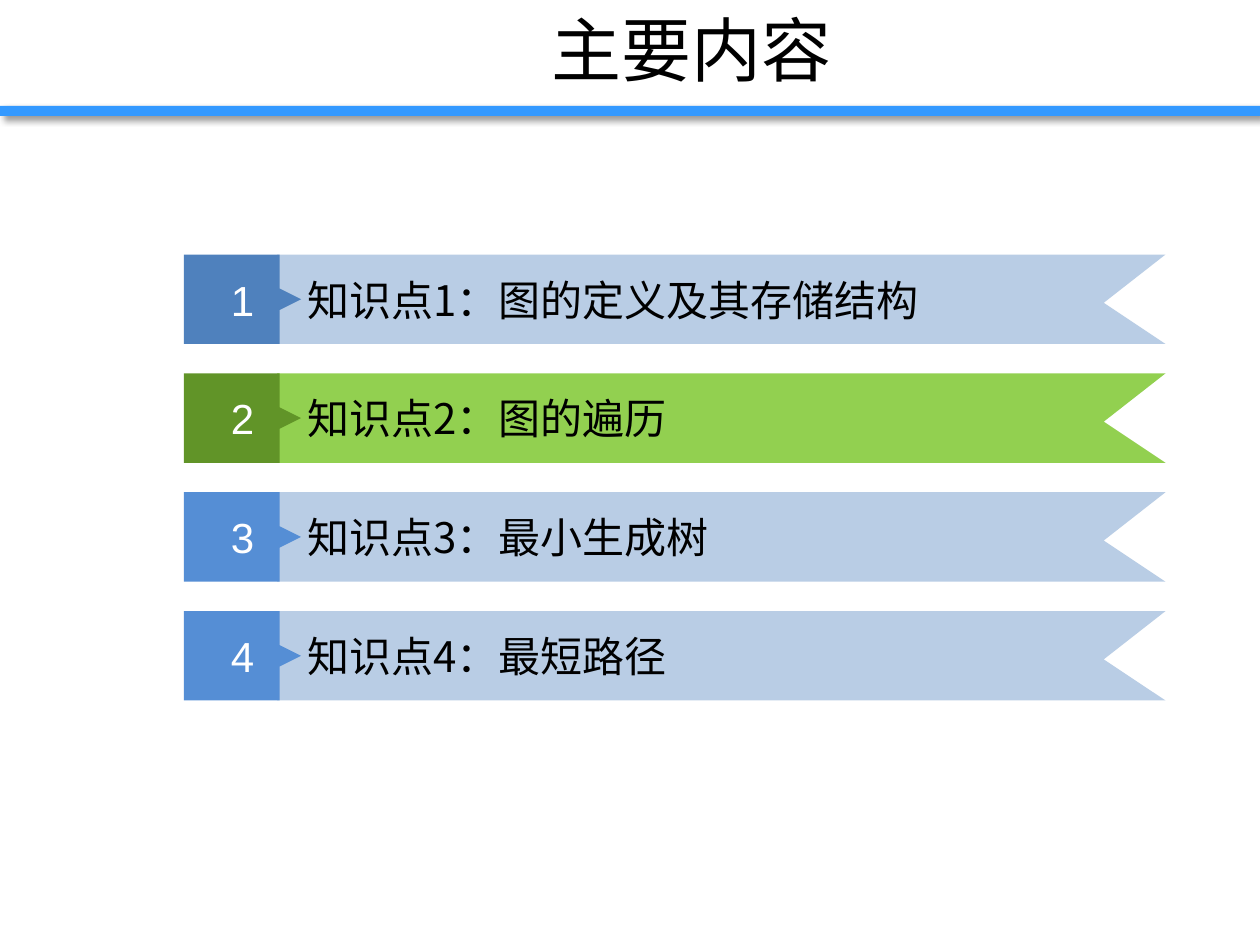
from dataclasses import dataclass

from lxml import etree
from pptx import Presentation
from pptx.dml.color import RGBColor
from pptx.enum.shapes import MSO_SHAPE
from pptx.enum.text import MSO_ANCHOR, PP_ALIGN
from pptx.oxml import parse_xml
from pptx.oxml.ns import nsdecls, qn
from pptx.util import Inches, Pt

RECTANGLE = MSO_SHAPE.RECTANGLE
MIDDLE = MSO_ANCHOR.MIDDLE
LEFT, CENTER = PP_ALIGN.LEFT, PP_ALIGN.CENTER


@dataclass(frozen=True)
class Theme:
    ink: str = "000000"
    white: str = "FFFFFF"
    rule: str = "3399FF"
    pale_blue: str = "B9CDE5"
    deep_blue: str = "4F81BD"
    mid_blue: str = "558ED5"
    green: str = "92D050"
    deep_green: str = "619428"
    chinese_font: str = "Noto Sans CJK SC"
    number_font: str = "Arial"
    title_size: int = 40
    body_size: int = 24


@dataclass(frozen=True)
class Topic:
    name: str
    ribbon_color: str
    tag_color: str


THEME = Theme()
SLIDE_WIDTH, SLIDE_HEIGHT = 10, 7.5
TITLE_LEFT, TITLE_HEIGHT = 0.98, 0.77
RULE_TOP, RULE_HEIGHT = 0.84, 0.08

TOPICS = [
    Topic("图的定义及其存储结构", THEME.pale_blue, THEME.deep_blue),
    Topic("图的遍历", THEME.green, THEME.deep_green),
    Topic("最小生成树", THEME.pale_blue, THEME.mid_blue),
    Topic("最短路径", THEME.pale_blue, THEME.mid_blue),
]
FIRST_TOP, LAST_TOP, ROW_HEIGHT = 2.02, 4.85, 0.71
ROW_PITCH = (LAST_TOP - FIRST_TOP) / (len(TOPICS) - 1)
TAG_LEFT, TAG_RIGHT, TAG_TIP = 1.46, 2.22, 2.39
RIBBON_LEFT, RIBBON_NOTCH, RIBBON_RIGHT = 2.2, 8.76, 9.25

# Outlines of one row: x in inches, y as a share of the row height
RIBBON = [(RIBBON_LEFT, 0), (RIBBON_RIGHT, 0), (RIBBON_NOTCH, 0.54),
          (RIBBON_RIGHT, 1), (RIBBON_LEFT, 1)]
TAG = [(TAG_LEFT, 0), (TAG_RIGHT, 0), (TAG_RIGHT, 0.38), (TAG_TIP, 0.5),
       (TAG_RIGHT, 0.62), (TAG_RIGHT, 1), (TAG_LEFT, 1)]


def paint(shape, color: str) -> None:
    shape.shadow.inherit = False
    shape.fill.solid()
    shape.fill.fore_color.rgb = RGBColor.from_string(color)
    shape.line.fill.background()


def write(shape, text: str, size: int, font: str, color: str, align) -> None:
    frame = shape.text_frame
    frame.text = text
    frame.word_wrap = True
    frame.vertical_anchor = MIDDLE
    para = frame.paragraphs[0]
    para.alignment = align
    span = para.runs[0]
    span.font.size = Pt(size)
    span.font.name = font
    span.font.color.rgb = RGBColor.from_string(color)
    east_asian = etree.SubElement(span.font._element, qn("a:ea"))
    east_asian.set("typeface", font)


def draw_outline(shapes, outline: list[tuple[float, float]], top: float, color: str):
    points = [(Inches(x), Inches(top + share * ROW_HEIGHT)) for x, share in outline]
    builder = shapes.build_freeform(*points[0])
    builder.add_line_segments(points[1:], close=True)
    shape = builder.convert_to_shape()
    paint(shape, color)
    return shape


def draw_topic(page, number: int, topic: Topic) -> None:
    top = FIRST_TOP + (number - 1) * ROW_PITCH
    row = page.shapes.add_group_shape()
    ribbon = draw_outline(row.shapes, RIBBON, top, topic.ribbon_color)
    write(ribbon, f"知识点{number}：{topic.name}", THEME.body_size,
          THEME.chinese_font, THEME.ink, LEFT)
    ribbon.text_frame.margin_left = Inches(0.24)
    tag = draw_outline(row.shapes, TAG, top, topic.tag_color)
    write(tag, str(number), THEME.body_size, THEME.number_font, THEME.white, CENTER)


def draw_header(page) -> None:
    rule = page.shapes.add_shape(RECTANGLE, 0, Inches(RULE_TOP),
                                 Inches(SLIDE_WIDTH), Inches(RULE_HEIGHT))
    paint(rule, THEME.rule)
    rule._element.spPr.find(qn("a:effectLst")).append(parse_xml(
        f'<a:outerShdw {nsdecls("a")} blurRad="{Pt(4)}" dist="{Pt(3)}" '
        f'dir="{45 * 60000}" algn="tl" rotWithShape="0">'
        f'<a:srgbClr val="{THEME.ink}"><a:alpha val="40000"/></a:srgbClr>'
        '</a:outerShdw>'))
    title = page.shapes.add_textbox(Inches(TITLE_LEFT), 0,
                                    Inches(SLIDE_WIDTH - TITLE_LEFT), Inches(TITLE_HEIGHT))
    write(title, "主要内容", THEME.title_size, THEME.chinese_font, THEME.ink, CENTER)


def main() -> None:
    deck = Presentation()
    deck.slide_width, deck.slide_height = Inches(SLIDE_WIDTH), Inches(SLIDE_HEIGHT)
    page = deck.slides.add_slide(deck.slide_layouts[6])
    draw_header(page)
    for number, topic in enumerate(TOPICS, start=1):
        draw_topic(page, number, topic)
    deck.save("out.pptx")


if __name__ == "__main__":
    main()
